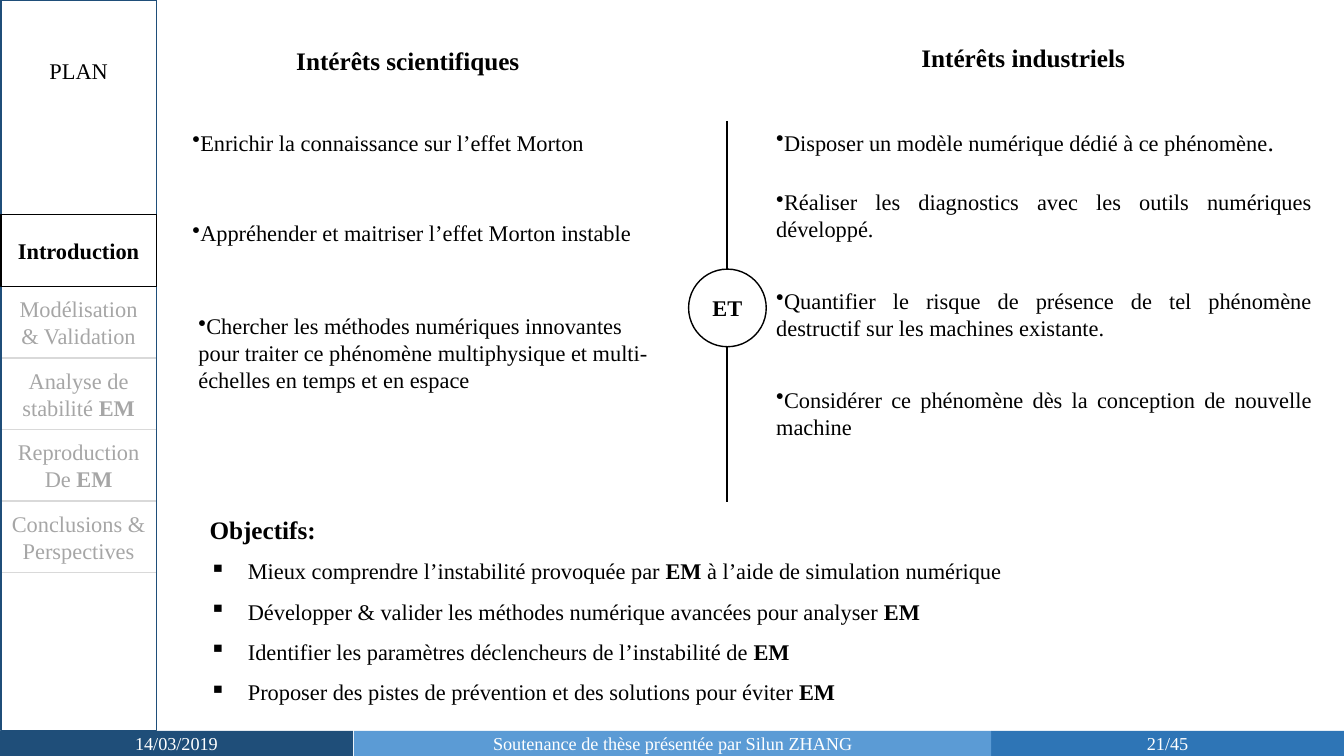
import pptx
import pptx.dml.color
import pptx.enum.shapes
import pptx.enum.text
import pptx.oxml.ns
import pptx.util
from lxml import etree

PX = 9144
FONT = "Times New Roman"
COLORS = {
    "black": "000000", "white": "FFFFFF", "muted": "A6A6A6", "rule": "D9D9D9",
    "navy": "1F4E79", "blue": "2E75B6", "sky": "5B9BD5",
}
ALIGN = pptx.enum.text.PP_ALIGN
SHAPE = pptx.enum.shapes.MSO_SHAPE

EM = ("EM", True)
PLAN_TITLE = "PLAN"
CURRENT_CHAPTER = "Introduction"
CHAPTERS = [
    [[("Modélisation & Validation", False)]],
    [[("Analyse de stabilité ", False), EM]],
    [[("Reproduction", False)], [("De ", False), EM]],
    [[("Conclusions & Perspectives", False)]],
]
HEADINGS = [
    ("Intérêts scientifiques", (284, 40, 250, 40)),
    ("Intérêts industriels", (904, 37, 243, 40)),
]
INTERESTS = [
    ("Enrichir la connaissance sur l’effet Morton", (181, 123, 516, 37), ALIGN.JUSTIFY),
    ("Appréhender et maitriser l’effet Morton instable", (181, 213, 486, 37), ALIGN.JUSTIFY),
    ("Chercher les méthodes numériques innovantes pour traiter ce phénomène "
     "multiphysique et multi-échelles en temps et en espace", (187, 305, 477, 118), ALIGN.LEFT),
    ("Réaliser les diagnostics avec les outils numériques développé.",
     (760, 182, 551, 64), ALIGN.JUSTIFY),
    ("Quantifier le risque de présence de tel phénomène destructif sur les machines existante.",
     (760, 280, 551, 64), ALIGN.JUSTIFY),
    ("Considérer ce phénomène dès la conception de nouvelle machine",
     (760, 378, 551, 64), ALIGN.JUSTIFY),
]
MODEL_INTEREST = "Disposer un modèle numérique dédié à ce phénomène"
LINK_WORD = "ET"
OBJECTIVES_TITLE = "Objectifs:"
OBJECTIVES = [
    [("Mieux comprendre l’instabilité provoquée par ", False), ("EM ", True),
     ("à l’aide de simulation numérique", False)],
    [("Développer & valider les méthodes numérique avancées pour analyser ", False), EM],
    [("Identifier les paramètres déclencheurs de l’instabilité de ", False), EM],
    [("Proposer des pistes de prévention et des solutions pour éviter ", False), EM],
]
FOOTER = [
    ("21/45", "blue", 983, 350),
    ("14/03/2019", "navy", 0, 350),
    ("Soutenance de thèse présentée par Silun ZHANG", "sky", 351, 632),
]
SIDEBAR_LEFT, SIDEBAR_WIDTH = 1, 154
CHAPTER_TOP, CHAPTER_HEIGHT = 213, 71
FOOTER_TOP, FOOTER_HEIGHT = 725, 25
DIVIDER_X, DIVIDER_TOP, DIVIDER_BOTTOM = 721, 120, 498
LINK_SIZE = 77

deck = pptx.Presentation()
deck.slide_width, deck.slide_height = 1333 * PX, 750 * PX
slide = deck.slides.add_slide(deck.slide_layouts[6])


def rgb(color):
    return pptx.dml.color.RGBColor.from_string(COLORS[color])


def emu(box):
    return [length * PX for length in box]


def add_runs(paragraph, runs, size=16, color="black"):
    for text, bold in runs:
        run = paragraph.add_run()
        run.text = text
        run.font.name = FONT
        run.font.size = pptx.util.Pt(size)
        run.font.bold = bold
        run.font.color.rgb = rgb(color)


def add_bullet(paragraph, mark, margin, indent):
    properties = paragraph._p.get_or_add_pPr()
    properties.set("marL", str(margin * PX))
    properties.set("indent", str(indent * PX))
    bullet = etree.SubElement(properties, pptx.oxml.ns.qn("a:buChar"))
    bullet.set("char", mark)


def add_text(box, runs, size=16, align=ALIGN.LEFT, bullet=None):
    frame = slide.shapes.add_textbox(*emu(box)).text_frame
    frame.word_wrap = True
    paragraph = frame.paragraphs[0]
    if bullet:
        add_bullet(paragraph, bullet, 0, -31)
    paragraph.alignment = align
    add_runs(paragraph, runs, size)
    return frame


def add_panel(box, lines=(), fill=None, line=None, size=16, color="black", kind=SHAPE.RECTANGLE):
    panel = slide.shapes.add_shape(kind, *emu(box))
    panel.shadow.inherit = False
    if fill:
        panel.fill.solid()
        panel.fill.fore_color.rgb = rgb(fill)
    else:
        panel.fill.background()
    if line:
        panel.line.color.rgb = rgb(line)
        panel.line.width = pptx.util.Pt(1)
    else:
        panel.line.fill.background()
    frame = panel.text_frame
    frame.vertical_anchor = pptx.enum.text.MSO_ANCHOR.MIDDLE
    for index, runs in enumerate(lines):
        paragraph = frame.add_paragraph() if index else frame.paragraphs[0]
        paragraph.alignment = ALIGN.CENTER
        add_runs(paragraph, runs, size, color)


def chapter_box(index):
    return SIDEBAR_LEFT, CHAPTER_TOP + index * CHAPTER_HEIGHT, SIDEBAR_WIDTH, CHAPTER_HEIGHT


add_text((9, 52, 138, 37), [(PLAN_TITLE, False)], align=ALIGN.CENTER)
for index, lines in enumerate(CHAPTERS, 1):
    add_panel(chapter_box(index), lines, line="rule", color="muted")
add_panel((SIDEBAR_LEFT, 0, SIDEBAR_WIDTH, FOOTER_TOP), line="navy")
add_panel(chapter_box(0), [[(CURRENT_CHAPTER, True)]], line="black")

for text, fill, left, width in FOOTER:
    add_panel((left, FOOTER_TOP, width, FOOTER_HEIGHT), [[(text, False)]],
              fill=fill, size=13, color="white")

for text, box in HEADINGS:
    add_text(box, [(text, True)], size=18)

divider = slide.shapes.add_connector(
    pptx.enum.shapes.MSO_CONNECTOR.STRAIGHT,
    *emu((DIVIDER_X, DIVIDER_TOP, DIVIDER_X, DIVIDER_BOTTOM)))
divider.line.color.rgb = rgb("black")
divider.line.width = pptx.util.Pt(1.5)
etree.SubElement(divider._element.spPr, pptx.oxml.ns.qn("a:effectLst"))
add_panel((683, 267, LINK_SIZE, LINK_SIZE), [[(LINK_WORD, True)]],
          fill="white", line="black", kind=SHAPE.OVAL)

for text, box, align in INTERESTS:
    add_text(box, [(text, False)], align=align, bullet="•")
model = add_text((760, 120, 551, 40), [(MODEL_INTEREST, False)], align=ALIGN.JUSTIFY, bullet="•")
add_runs(model.paragraphs[0], [(".", False)], size=18)

objectives = add_text((198, 505, 888, 206), [(OBJECTIVES_TITLE, True)], size=18)
for runs in OBJECTIVES:
    paragraph = objectives.add_paragraph()
    add_bullet(paragraph, "▪", 38, -38)
    paragraph.line_spacing = 1.5
    add_runs(paragraph, runs)

deck.save("out.pptx")
